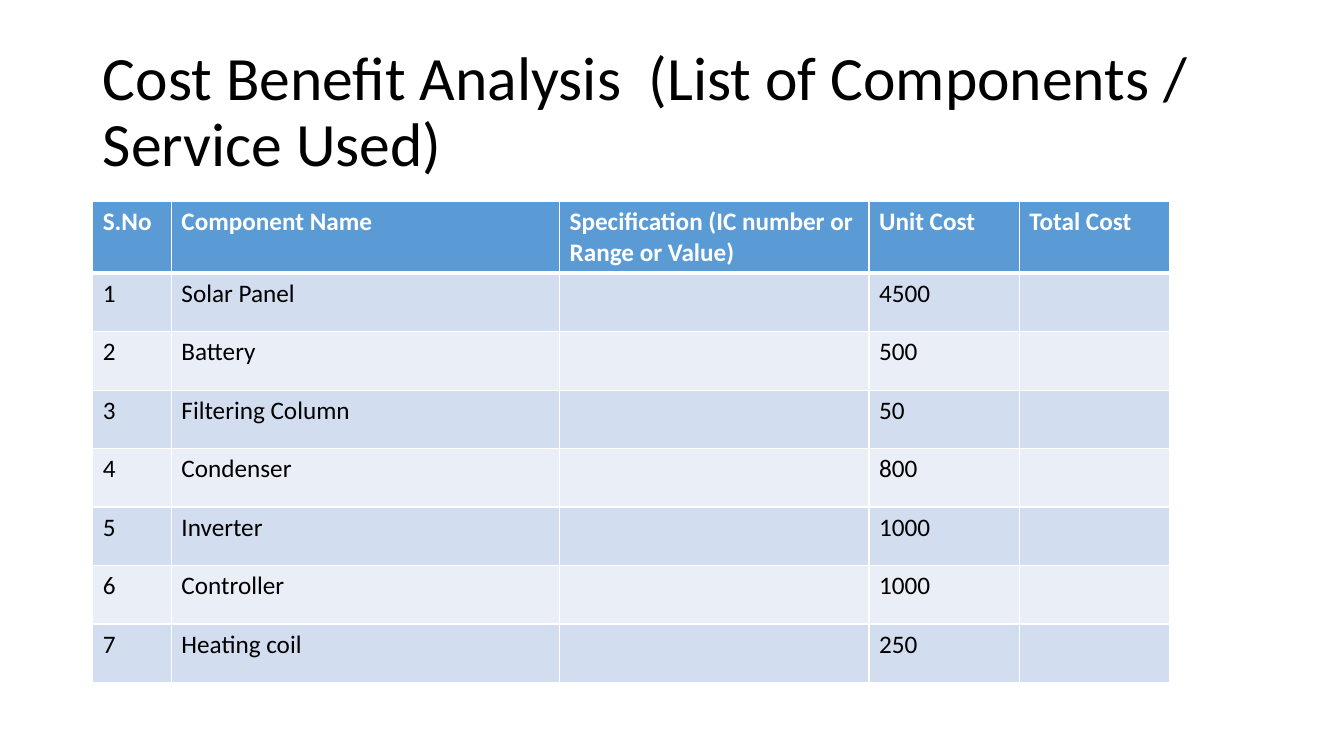
from dataclasses import dataclass

from lxml import etree
from pptx import Presentation
from pptx import util as u
from pptx.dml.color import RGBColor
from pptx.enum import text
from pptx.oxml.ns import qn

PX = 9144
TITLE = "Cost Benefit Analysis  (List of Components / Service Used)"
HEADERS = ["S.No", "Component Name", "Specification (IC number or Range or Value)",
           "Unit Cost", "Total Cost"]
COMPONENTS = [("Solar Panel", 4500), ("Battery", 500), ("Filtering Column", 50),
              ("Condenser", 800), ("Inverter", 1000), ("Controller", 1000),
              ("Heating coil", 250)]
COLUMN_WIDTHS = [78, 385, 307, 149, 149]
HEADER_HEIGHT, ROW_HEIGHT = 70, 58


@dataclass(frozen=True)
class Theme:
    """Colours, font and type sizes of the slide."""
    font: str = "Calibri"
    title_size: int = 44
    table_size: int = 18
    ink: str = "000000"
    paper: str = "FFFFFF"
    header: str = "5B9BD5"
    bands: tuple = ("D2DEEF", "EAEFF7")


THEME = Theme()


def px(length):
    """Turn a length in px into EMU."""
    return u.Emu(length * PX)


def style(para, size, color, bold=False):
    """Set the font of a paragraph."""
    font = para.font
    font.name, font.size, font.bold = THEME.font, u.Pt(size), bold
    font.color.rgb = RGBColor.from_string(color)


def add_title(page, box):
    """Fill the title placeholder and place it in the box."""
    title = page.shapes.title
    title.left, title.top, title.width, title.height = map(px, box)
    frame = title.text_frame
    frame.text = TITLE
    frame.word_wrap = True
    frame.auto_size = text.MSO_AUTO_SIZE.NONE
    frame.vertical_anchor = text.MSO_ANCHOR.MIDDLE
    para = frame.paragraphs[0]
    para.alignment = text.PP_ALIGN.LEFT
    para.line_spacing = 0.9
    style(para, THEME.title_size, THEME.ink)


def add_borders(cell, top, bottom):
    """Draw the cell's borders, with top and bottom widths in points."""
    properties = cell._tc.get_or_add_tcPr()
    for side, width in (("L", 1), ("R", 1), ("T", top), ("B", bottom)):
        line = etree.SubElement(properties, qn(f"a:ln{side}"), w=str(u.Pt(width)))
        fill = etree.SubElement(line, qn("a:solidFill"))
        etree.SubElement(fill, qn("a:srgbClr"), val=THEME.paper)


def fill_cell(cell, content, row):
    """Write and format one cell according to its row."""
    is_header = row == 0
    add_borders(cell, 3 if row == 1 else 1, 3 if is_header else 1)
    cell.fill.solid()
    color = THEME.header if is_header else THEME.bands[(row - 1) % 2]
    cell.fill.fore_color.rgb = RGBColor.from_string(color)
    cell.text = str(content)
    style(cell.text_frame.paragraphs[0], THEME.table_size,
          THEME.paper if is_header else THEME.ink, is_header)


def add_cost_table(page, left, top):
    """Place the component cost table from its top left corner."""
    rows = [HEADERS] + [[number, name, "", cost, ""]
                        for number, (name, cost) in enumerate(COMPONENTS, 1)]
    heights = [HEADER_HEIGHT] + [ROW_HEIGHT] * len(COMPONENTS)
    box = map(px, (left, top, sum(COLUMN_WIDTHS), sum(heights)))
    table = page.shapes.add_table(len(rows), len(HEADERS), *box).table
    for column, width in zip(table.columns, COLUMN_WIDTHS):
        column.width = px(width)
    for index, (contents, height) in enumerate(zip(rows, heights)):
        table.rows[index].height = px(height)
        for cell, content in zip(table.rows[index].cells, contents):
            fill_cell(cell, content, index)


def main():
    """Build the deck and save it."""
    deck = Presentation()
    deck.slide_width, deck.slide_height = px(1333), px(750)
    page = deck.slides.add_slide(deck.slide_layouts[5])
    add_title(page, (92, 40, 1150, 145))
    add_cost_table(page, 92, 200)
    deck.save("out.pptx")


if __name__ == "__main__":
    main()
